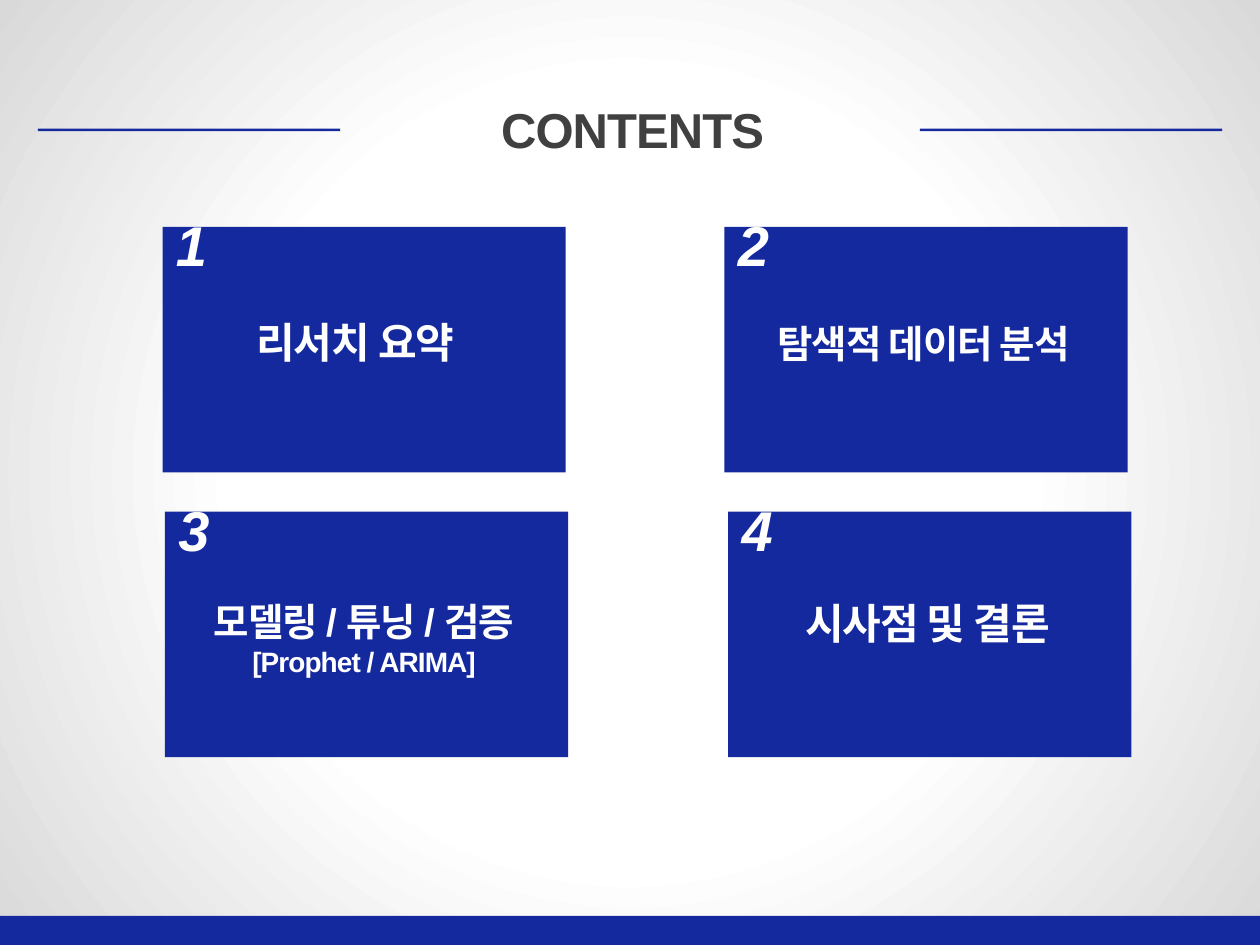
from pptx import Presentation
from pptx.dml.color import RGBColor
from pptx.enum.shapes import MSO_SHAPE
from pptx.enum.text import MSO_ANCHOR, MSO_AUTO_SIZE, PP_ALIGN
from pptx.oxml import parse_xml
from pptx.util import Inches, Pt

BLUE, WHITE, GRAY = "15299E", "FFFFFF", "404040"

# Cards: left, top, lines (text, size), label left, label top, label height
CARDS = [
    (1.29, 1.8, [("리서치 요약", 24)], 0.61, 2.46, 0.5),
    (5.75, 1.8, [("탐색적 데이터 분석", 22)], 5.12, 2.49, 0.47),
    (1.31, 4.06, [("모델링 / 튜닝 / 검증", 22), ("[Prophet / ARIMA]", 16)],
     0.68, 4.7, 0.74),
    (5.78, 4.06, [("시사점 및 결론", 24)], 5.15, 4.69, 0.5),
]
# Bars: left, top, width, height
BARS = [(0, 7.27, 10, 0.23), (0.3, 1.02, 2.4, 0.02), (7.3, 1.02, 2.4, 0.02)]

BACK = """<p:bg
 xmlns:p="http://schemas.openxmlformats.org/presentationml/2006/main"
 xmlns:a="http://schemas.openxmlformats.org/drawingml/2006/main">
 <p:bgPr><a:gradFill rotWithShape="1"><a:gsLst>
  <a:gs pos="50000"><a:srgbClr val="FFFFFF"/></a:gs>
  <a:gs pos="100000"><a:srgbClr val="D9D9D9"/></a:gs>
 </a:gsLst><a:path path="circle">
  <a:fillToRect l="50000" t="50000" r="50000" b="50000"/>
 </a:path></a:gradFill><a:effectLst/></p:bgPr></p:bg>"""


def color(code):
    return RGBColor.from_string(code)


def place(shape, *box):
    shape.left, shape.top, shape.width, shape.height = map(Inches, box)


def block(*box):
    shape = slide.shapes.add_shape(MSO_SHAPE.RECTANGLE, *map(Inches, box))
    shape.shadow.inherit = False
    shape.fill.solid()
    shape.fill.fore_color.rgb = color(BLUE)
    shape.line.fill.background()


def write(shape, lines, code, italic=False):
    frame = shape.text_frame
    frame.word_wrap = True
    frame.auto_size = MSO_AUTO_SIZE.SHAPE_TO_FIT_TEXT
    frame.vertical_anchor = MSO_ANCHOR.TOP
    frame.text = "\n".join(text for text, size in lines)
    for para, (text, size) in zip(frame.paragraphs, lines):
        para.alignment = PP_ALIGN.CENTER
        font = para.font
        font.name, font.size = "Arial", Pt(size)
        font.bold, font.italic = True, italic
        font.color.rgb = color(code)
        for run in para.runs:
            run.font._element.set("spc", "-50")


def label(box, lines, italic=False):
    shape = slide.shapes.add_textbox(*map(Inches, box))
    write(shape, lines, WHITE, italic)


# Slide and background
deck = Presentation()
deck.slide_width, deck.slide_height = Inches(10), Inches(7.5)
slide = deck.slides.add_slide(deck.slide_layouts[5])
slide.element.cSld.insert(0, parse_xml(BACK))

# Title and bars
title = slide.shapes.title
place(title, 3.42, 0.74, 3.2, 0.57)
write(title, [("CONTENTS", 28)], GRAY)
for bar in BARS:
    block(*bar)

# Numbered cards
for num, (left, top, lines, x, y, high) in enumerate(CARDS, 1):
    block(left, top, 3.2, 1.95)
    label((x, y, 4.42, high), lines)
    label((left - 0.23, top - 0.18, 0.92, 0.64), [(str(num), 32)], italic=True)

deck.save("out.pptx")
